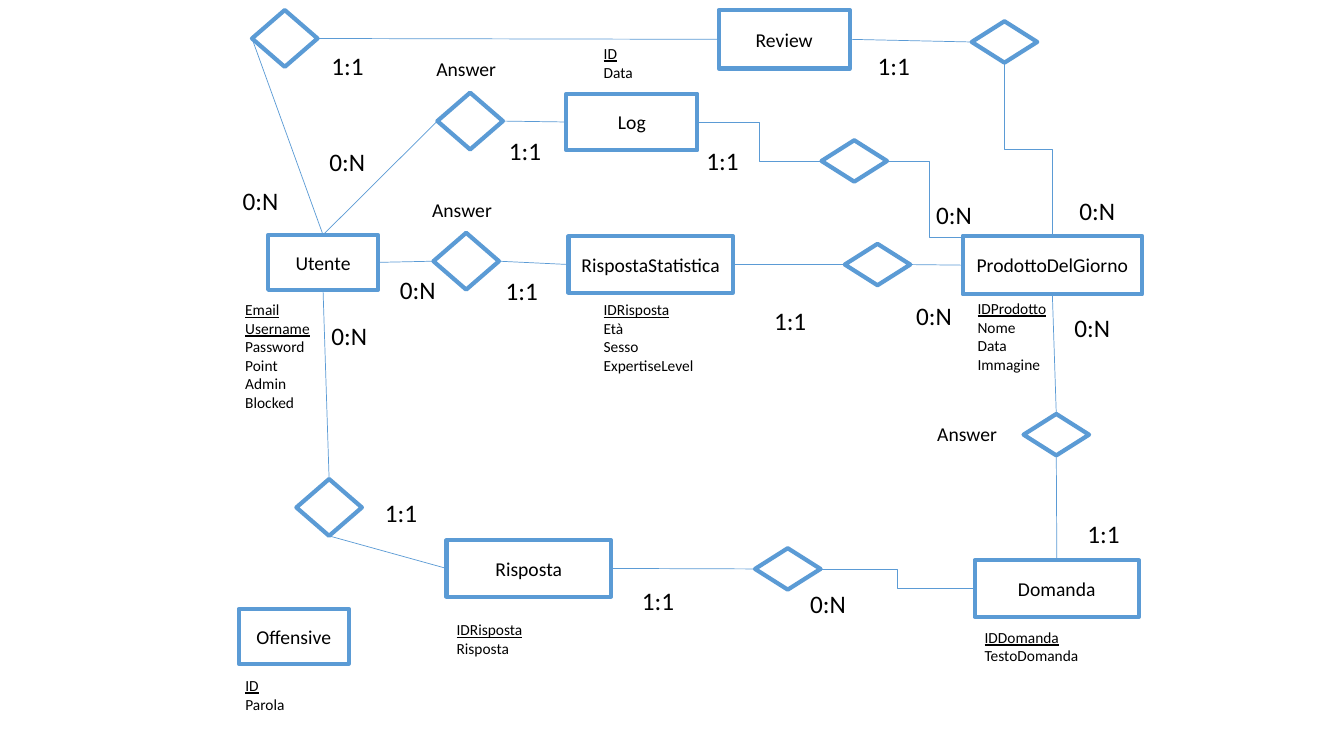
from dataclasses import dataclass

from lxml import etree
from pptx import Presentation, util as u
from pptx.dml.color import RGBColor
from pptx.enum import shapes as sh, text as tx
from pptx.oxml.ns import qn

Pt = u.Pt
HUES = {"line": "5B9BD5", "fill": "FFFFFF", "text": "000000"}
FONT = "Calibri"
TOP, LEFT, BASE, RIGHT = range(4)  # connection sites of boxes and diamonds
TALL, FLAT = (46.8, 40.6), (46.8, 29.6)
SMALL, WIDE, SHORT = (78.5, 39.2), (117.4, 40.3), (93.6, 40.3)


@dataclass
class Node:
    left: float
    top: float
    size: tuple[float, float]
    text: str = ""

    def spot(self, site: int) -> tuple[float, float]:
        wide, high = self.size
        dx, dy = ((0.5, 0), (0, 0.5), (0.5, 1), (1, 0.5))[site]
        return self.left + dx * wide, self.top + dy * high


@dataclass
class Link:
    start: str
    out: int
    end: str
    into: int


@dataclass
class Note:
    left: float
    top: float
    text: str


@dataclass
class Attrs:
    left: float
    top: float
    wide: float
    keys: int
    names: list[str]


# Entities carry a text, relations are diamonds without one
NODES = {
    "user": Node(191.5, 167.8, SMALL, "Utente"),
    "stat": Node(406.1, 168.8, WIDE, "RispostaStatistica"),
    "product": Node(687.6, 168.5, (128.2, 41.8), "ProdottoDelGiorno"),
    "question": Node(696.2, 400.3, WIDE, "Domanda"),
    "reply": Node(319, 385.9, WIDE, "Risposta"),
    "log": Node(404.6, 67, SHORT, "Log"),
    "review": Node(513.4, 7.2, (93.6, 41.8), "Review"),
    "bad": Node(170.6, 434.9, SMALL, "Offensive"),
    "user-stat": Node(309.6, 166.3, TALL),
    "user-reply": Node(211.7, 342.2, TALL),
    "user-log": Node(312.4, 66.2, TALL),
    "user-review": Node(180, 7.2, TALL),
    "stat-product": Node(603.4, 174.2, FLAT),
    "product-question": Node(731.1, 295.7, FLAT),
    "reply-question": Node(539.3, 391.6, FLAT),
    "review-product": Node(694.1, 15.2, FLAT),
    "log-product": Node(586.8, 100.2, FLAT),
}

LINKS = [
    Link("user", RIGHT, "user-stat", LEFT),
    Link("user-stat", RIGHT, "stat", LEFT),
    Link("stat", RIGHT, "stat-product", LEFT),
    Link("stat-product", RIGHT, "product", LEFT),
    Link("user", TOP, "user-log", LEFT),
    Link("user-log", RIGHT, "log", LEFT),
    Link("user", TOP, "user-review", LEFT),
    Link("user-review", RIGHT, "review", LEFT),
    Link("review", RIGHT, "review-product", LEFT),
    Link("user", BASE, "user-reply", TOP),
    Link("user-reply", BASE, "reply", LEFT),
    Link("reply", RIGHT, "reply-question", LEFT),
    Link("product", BASE, "product-question", TOP),
    Link("product-question", BASE, "question", TOP),
]

ROLES = [Note(301.6, 137.5, "Answer"), Note(662.4, 298.1, "Answer"),
         Note(304.6, 37.4, "Answer")]

COUNTS = [
    Note(661.7, 139, "0:N"), Note(278.6, 192.2, "0:N"),
    Note(354.2, 193, "1:1"), Note(497.5, 100.1, "1:1"),
    Note(760.3, 219.6, "0:N"), Note(769.7, 366.5, "1:1"),
    Note(571.7, 416.9, "0:N"), Note(451.4, 414.7, "1:1"),
    Note(229.7, 225.4, "0:N"), Note(267.8, 351.4, "1:1"),
    Note(228.2, 100.8, "0:N"), Note(356.4, 92.9, "1:1"),
    Note(763.9, 136.1, "0:N"), Note(619.9, 32.4, "1:1"),
    Note(166.3, 128.9, "0:N"), Note(229.7, 32.4, "1:1"),
    Note(545.8, 214.6, "1:1"), Note(647.3, 211, "0:N"),
]

LISTS = [
    Attrs(424.1, 211, 139.7, 1, ["IDRisposta", "Età", "Sesso", "ExpertiseLevel"]),
    Attrs(168.1, 211, 79.2, 2,
          ["Email", "Username", "Password", "Point", "Admin", "Blocked"]),
    Attrs(691.2, 210.2, 139.7, 1, ["IDProdotto", "Nome", "Data", "Immagine"]),
    Attrs(696.2, 445, 87.8, 1, ["IDDomanda", "TestoDomanda"]),
    Attrs(319, 439.6, 87.8, 1, ["IDRisposta", "Risposta"]),
    Attrs(424.1, 28.1, 68.4, 1, ["ID", "Data"]),
    Attrs(168.1, 479.5, 87.8, 1, ["ID", "Parola"]),
]

deck = Presentation()
deck.slide_width, deck.slide_height = Pt(960), Pt(540)
page = deck.slides.add_slide(deck.slide_layouts[6]).shapes


def hue(name: str) -> RGBColor:
    return RGBColor.from_string(HUES[name])


def write(frame, lines: list[str], *, size: float, keys: int = 0,
          align=tx.PP_ALIGN.LEFT, wrap: bool = True) -> None:
    """Fill a frame with one paragraph a line; the first `keys` are underlined."""
    frame.word_wrap = wrap
    for i, line in enumerate(lines):
        para = frame.paragraphs[0] if i == 0 else frame.add_paragraph()
        para.alignment = align
        run = para.add_run()
        run.text = line
        run.font.name, run.font.size = FONT, Pt(size)
        run.font.color.rgb = hue("text")
        if i < keys:
            run.font.underline = True


def label(left: float, top: float, wide: float, high: float,
          lines: list[str], **form) -> None:
    box = page.add_textbox(Pt(left), Pt(top), Pt(wide), Pt(high))
    write(box.text_frame, lines, **form)


def draw(node: Node):
    kind = sh.MSO_SHAPE.RECTANGLE if node.text else sh.MSO_SHAPE.DIAMOND
    shape = page.add_shape(kind, Pt(node.left), Pt(node.top), *map(Pt, node.size))
    shape.shadow.inherit = False
    shape.fill.solid()
    shape.fill.fore_color.rgb = hue("fill")
    shape.line.color.rgb, shape.line.width = hue("line"), Pt(3)
    if node.text:
        shape.text_frame.vertical_anchor = tx.MSO_ANCHOR.MIDDLE
        write(shape.text_frame, [node.text], size=14, align=tx.PP_ALIGN.CENTER)
    return shape


def wire(start: tuple[float, float], end: tuple[float, float],
         kind=sh.MSO_CONNECTOR.STRAIGHT):
    line = page.add_connector(kind, *map(Pt, (*start, *end)))
    line.line.color.rgb, line.line.width = hue("line"), Pt(0.5)
    etree.SubElement(line._element.spPr, qn("a:effectLst"))
    return line


def bend(start: tuple[float, float], end: tuple[float, float],
         upright: bool = False) -> None:
    """Draw an elbow; an upright one leaves and arrives vertically."""
    if upright:  # lay the elbow flat about its centre, then turn it
        (x1, y1), (x2, y2) = start, end
        mx, my, dx, dy = (x1 + x2) / 2, (y1 + y2) / 2, (x1 - x2) / 2, (y1 - y2) / 2
        start, end = (mx - dy, my + dx), (mx + dy, my - dx)
    line = wire(start, end, sh.MSO_CONNECTOR.ELBOW)
    if upright:
        line._element.spPr.find(qn("a:xfrm")).set("rot", str(270 * 60000))


# Elbows
spot = {name: node.spot for name, node in NODES.items()}
bend(spot["log"](RIGHT), spot["log-product"](LEFT))
bend(spot["log-product"](RIGHT), (694, 169.4))
bend(spot["reply-question"](RIGHT), spot["question"](LEFT))
bend(spot["product"](TOP), spot["review-product"](BASE), upright=True)

# Entities and relations, then the straight links glued to them
drawn = {name: draw(node) for name, node in NODES.items()}
for link in LINKS:
    line = wire(spot[link.start](link.out), spot[link.end](link.into))
    line.begin_connect(drawn[link.start], link.out)
    line.end_connect(drawn[link.end], link.into)

# Roles, counts and attributes
for note in ROLES:
    label(note.left, note.top, 57.6, 24.5, [note.text], size=14, wrap=False)
for note in COUNTS:
    wide = 40.3 if note.text == "0:N" else 38.2
    label(note.left, note.top, wide, 28.8, [note.text], size=18, wrap=False)
for item in LISTS:
    label(item.left, item.top, item.wide, 7.2 + 13.4 * len(item.names),
          item.names, size=11, keys=item.keys)

deck.save("out.pptx")
